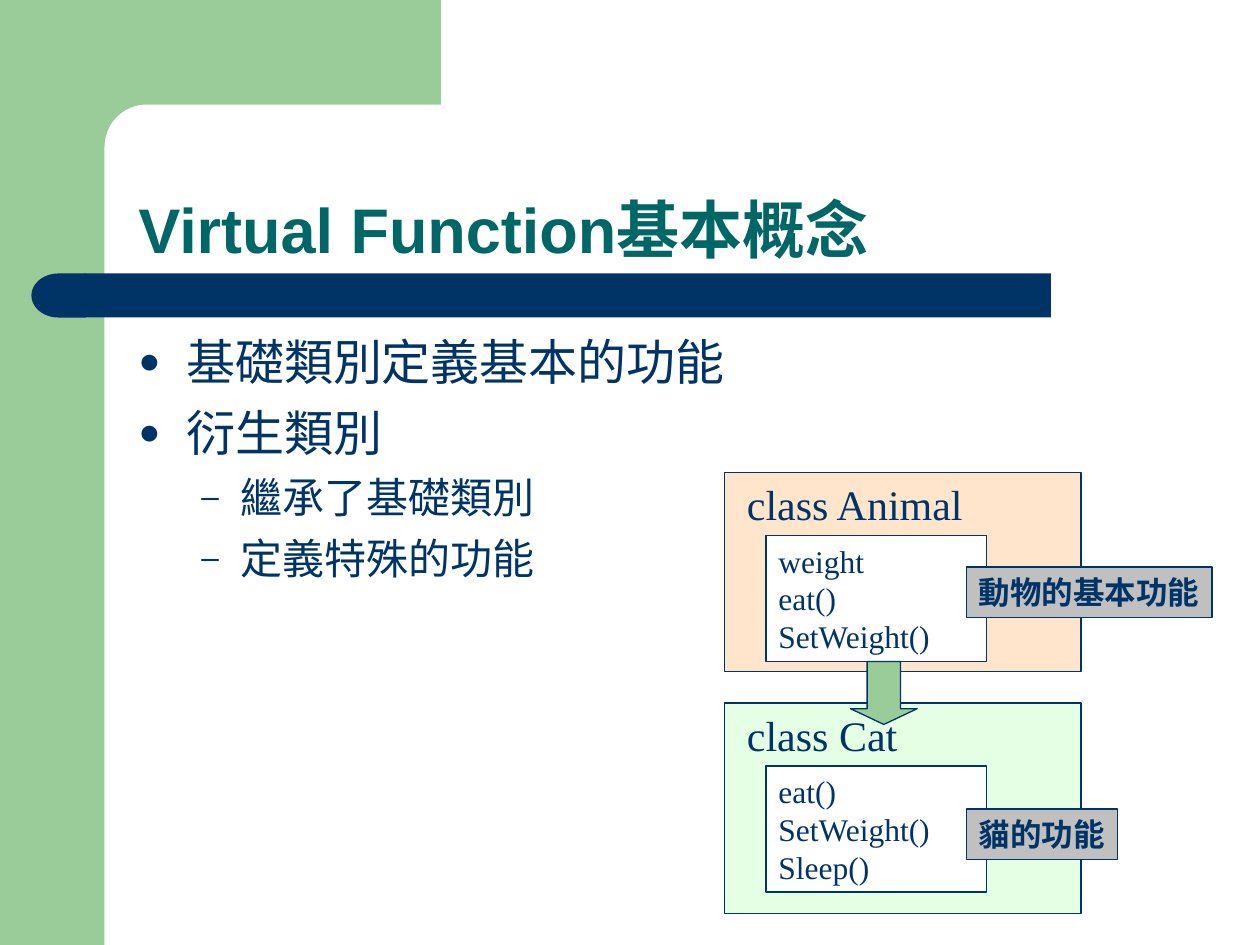
import lxml.etree
import pptx
import pptx.dml.color
import pptx.enum.shapes
import pptx.enum.text
import pptx.oxml.ns
import pptx.util

Inches = pptx.util.Inches
SHAPES = pptx.enum.shapes.MSO_SHAPE
GREEN = "99CC99"
NAVY = "003366"

presentation = pptx.Presentation()
presentation.slide_width = Inches(10)
presentation.slide_height = Inches(7.5)
slide = presentation.slides.add_slide(presentation.slide_layouts[6])


def add_box(kind, left, top, width, height, fill=None, line=None, alpha=None):
    """Add a preset shape; alpha is the opacity of its fill in percent."""
    shape = slide.shapes.add_shape(
        kind, Inches(left), Inches(top), Inches(width), Inches(height))
    shape.shadow.inherit = False
    if fill:
        shape.fill.solid()
        shape.fill.fore_color.rgb = pptx.dml.color.RGBColor.from_string(fill)
        if alpha:
            color = shape.fill._xPr.find(".//" + pptx.oxml.ns.qn("a:srgbClr"))
            lxml.etree.SubElement(
                color, pptx.oxml.ns.qn("a:alpha"), val=str(alpha * 1000))
    else:
        shape.fill.background()
    if line:
        shape.line.color.rgb = pptx.dml.color.RGBColor.from_string(line)
        shape.line.width = pptx.util.Pt(0.75)
    else:
        shape.line.fill.background()
    return shape


def write_text(shape, text, size, font="Times New Roman", color=NAVY, bold=False,
               wrap=True, anchor="TOP"):
    """Write left-aligned paragraphs, one a line; unwrapped text sizes its shape."""
    frame = shape.text_frame
    frame.text = text
    frame.word_wrap = wrap
    if not wrap:
        frame.auto_size = pptx.enum.text.MSO_AUTO_SIZE.SHAPE_TO_FIT_TEXT
    frame.vertical_anchor = getattr(pptx.enum.text.MSO_ANCHOR, anchor)
    for paragraph in frame.paragraphs:
        paragraph.alignment = pptx.enum.text.PP_ALIGN.LEFT
        for run in paragraph.runs:
            run.font.size = pptx.util.Pt(size)
            run.font.name = font
            run.font.bold = bold
            run.font.color.rgb = pptx.dml.color.RGBColor.from_string(color)
    return frame.paragraphs


# Green corner with a rounded inner edge, and the navy bar under the title
add_box(SHAPES.RECTANGLE, 0, 0, 0.83, 7.5, GREEN)
add_box(SHAPES.RECTANGLE, 0.75, 0, 2.75, 1.17, GREEN)
inner_corner = add_box(SHAPES.ROUNDED_RECTANGLE, 0.83, 0.83, 5.58, 0.67, "FFFFFF")
inner_corner.adjustments[0] = 0.5
add_box(SHAPES.RECTANGLE, 0.67, 2.17, 7.67, 0.35, NAVY)
bar_end = add_box(SHAPES.FLOWCHART_DELAY, 0.25, 2.17, 0.43, 0.35, NAVY)
bar_end._element.spPr.xfrm.set("flipH", "1")

title = slide.shapes.add_textbox(Inches(1), Inches(0.92), Inches(8.75), Inches(1.25))
title_paragraph = write_text(title, "Virtual Function基本概念", 36, font="Arial",
                             color="006666", bold=True, anchor="BOTTOM")[0]
title_paragraph.line_spacing = 0.9

# Bulleted list: text, level
points = [
    ("基礎類別定義基本的功能", 0),
    ("衍生類別", 0),
    ("繼承了基礎類別", 1),
    ("定義特殊的功能", 1),
]
# Size, space before, text indent, hanging indent and bullet of each level
levels = [(28, 7, 0.38, 0.38, "●"), (24, 6, 0.81, 0.31, "–")]
body = slide.shapes.add_textbox(Inches(1), Inches(2.58), Inches(8.75), Inches(4.08))
paragraphs = write_text(body, "\n".join(text for text, level in points), 28, font="Arial")
for paragraph, (text, level) in zip(paragraphs, points):
    size, space_before, indent, hanging, bullet = levels[level]
    paragraph.level = level
    paragraph.space_before = pptx.util.Pt(space_before)
    paragraph.runs[0].font.size = pptx.util.Pt(size)
    properties = paragraph._p.get_or_add_pPr()
    properties.set("marL", str(Inches(indent)))
    properties.set("indent", str(-Inches(hanging)))
    bullet_color = lxml.etree.SubElement(properties, pptx.oxml.ns.qn("a:buClr"))
    lxml.etree.SubElement(bullet_color, pptx.oxml.ns.qn("a:srgbClr"), val=NAVY)
    lxml.etree.SubElement(properties, pptx.oxml.ns.qn("a:buSzPct"), val="75000")
    lxml.etree.SubElement(properties, pptx.oxml.ns.qn("a:buFont"), typeface="Arial")
    lxml.etree.SubElement(properties, pptx.oxml.ns.qn("a:buChar"), char=bullet)

# Class diagram: name, name width, members, top, height, fill
classes = [
    ("class Animal", 1.93, "weight\neat()\nSetWeight()", 3.75, 1.58, "FFCC99"),
    ("class Cat", 1.4, "eat()\nSetWeight()\nSleep()", 5.58, 1.67, "CCFFCC"),
]
for name, name_width, members, top, height, fill in classes:
    add_box(SHAPES.RECTANGLE, 5.75, top, 2.83, height, fill, NAVY, alpha=50)
    name_box = slide.shapes.add_textbox(
        Inches(5.83), Inches(top), Inches(name_width), Inches(0.5))
    write_text(name_box, name, 24, wrap=False)
    member_box = add_box(SHAPES.RECTANGLE, 6.08, top + 0.5, 1.75, 1, "FFFFFF", NAVY)
    write_text(member_box, members, 18)

arrow = add_box(SHAPES.DOWN_ARROW, 6.75, 5.25, 0.53, 0.5, GREEN, NAVY)
arrow.adjustments[0] = 0.5
arrow.adjustments[1] = 0.25

for label, top, width in [("動物的基本功能", 4.5, 1.95), ("貓的功能", 6.42, 1.2)]:
    label_box = add_box(SHAPES.RECTANGLE, 7.67, top, width, 0.4, "C0C0C0", NAVY)
    write_text(label_box, label, 18, bold=True, wrap=False)

presentation.save("out.pptx")
